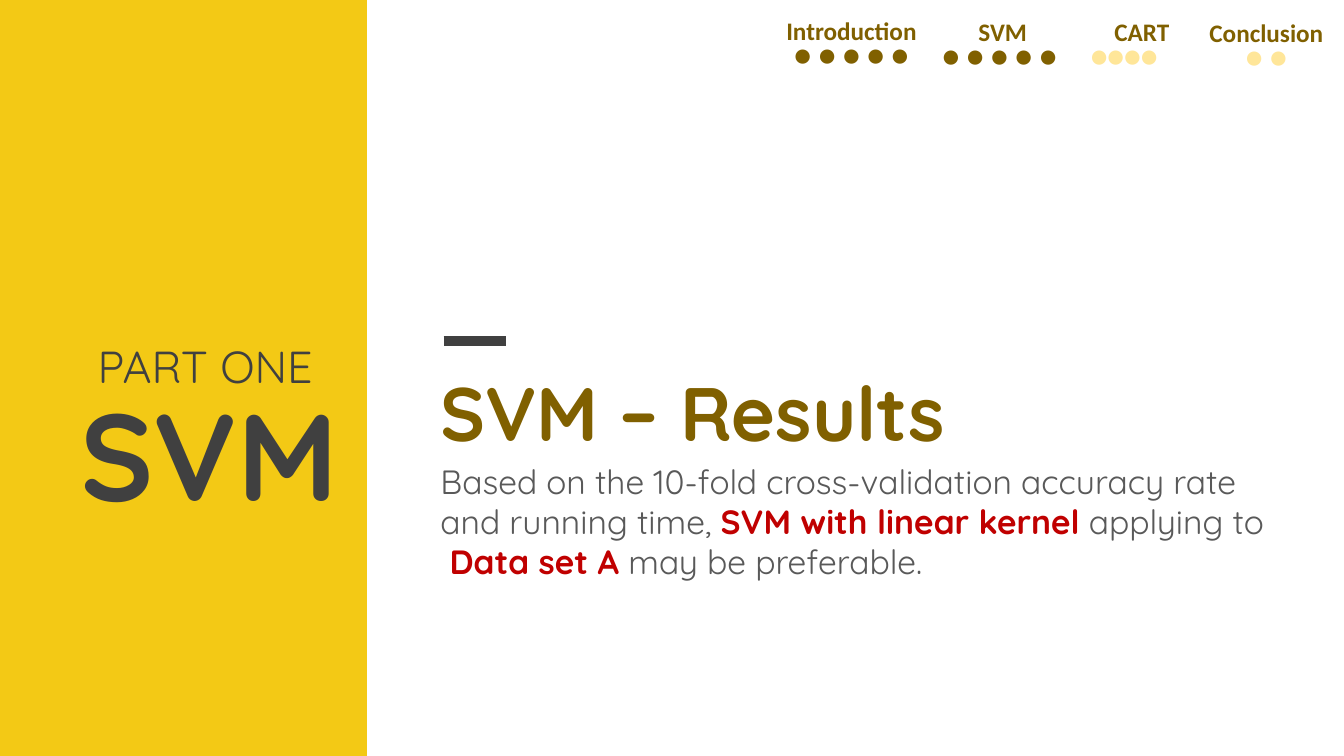
from dataclasses import dataclass

from lxml.etree import SubElement
from pptx import Presentation
from pptx.dml.color import RGBColor
from pptx.enum.shapes import MSO_CONNECTOR, MSO_SHAPE
from pptx.enum.text import MSO_AUTO_SIZE, PP_ALIGN
from pptx.oxml.ns import qn
from pptx.util import Inches, Pt


@dataclass(frozen=True)
class Theme:
    panel: str = "F3C915"
    dark: str = "404040"
    body: str = "595959"
    brown: str = "806000"
    pale: str = "FFE699"
    red: str = "C00000"
    head_font: str = "Quicksand"
    nav_font: str = "Calibri"
    nav_size: int = 18
    body_size: int = 24
    part_size: int = 32
    title_size: int = 54
    section_size: int = 88
    nav_spacing: int = 20


T = Theme()
LEFT, CENTER, RIGHT, JUSTIFY = (
    PP_ALIGN.LEFT, PP_ALIGN.CENTER, PP_ALIGN.RIGHT, PP_ALIGN.JUSTIFY)

# box (left, top, width, height), text, size, colour, bold, alignment
HEADINGS = [
    ((0.87, 3.31, 2.39, 0.64), "PART ONE", T.part_size, T.dark, False, LEFT),
    ((0.1, 3.7, 3.35, 1.58), "SVM", T.section_size, T.dark, True, RIGHT),
    ((4.27, 3.58, 6.29, 1.01), "SVM – Results", T.title_size, T.brown, True, LEFT),
]

# lines of (text, emphasised)
BODY_BOX = (4.27, 4.52, 8.72, 1.31)
BODY = [
    [("Based on the 10-fold cross-validation accuracy rate", False)],
    [("and running time, ", False), ("SVM with linear kernel", True),
     (" applying to", False)],
    [(" ", False), ("Data set A ", True), ("may be preferable.", False)],
]

# box, section, dots, dot colour, dot alignment
NAV = [
    ((7.62, 0.12, 1.65, 0.68), "Introduction", "• • • • •", T.brown, CENTER),
    ((9.25, 0.13, 1.39, 0.68), "SVM", "• • • • •", T.brown, JUSTIFY),
    ((10.72, 0.13, 1.21, 0.68), "CART", "••••", T.pale, JUSTIFY),
    ((11.82, 0.14, 1.48, 0.68), "Conclusion", "• •", T.pale, CENTER),
]


def add_text(s, box, lines, wrap=True, spacing=None):
    """lines: (alignment, runs); a run is (text, font, size, colour, bold)."""
    tf = s.shapes.add_textbox(*map(Inches, box)).text_frame
    tf.word_wrap = wrap
    tf.auto_size = MSO_AUTO_SIZE.SHAPE_TO_FIT_TEXT
    for i, (align, runs) in enumerate(lines):
        p = tf.add_paragraph() if i else tf.paragraphs[0]
        p.alignment = align
        if spacing:
            p.line_spacing = Pt(spacing)
        for text, font, size, color, bold in runs:
            r = p.add_run()
            r.text = text
            r.font.name = font
            r.font.size = Pt(size)
            r.font.bold = bold
            r.font.color.rgb = RGBColor.from_string(color)


def add_panel(s, height):
    sp = s.shapes.add_shape(MSO_SHAPE.RECTANGLE, 0, 0, Inches(3.64), height)
    sp.shadow.inherit = False
    sp.fill.solid()
    sp.fill.fore_color.rgb = RGBColor.from_string(T.panel)
    sp.line.fill.background()


def add_accent(s):
    y = Inches(3.38)
    line = s.shapes.add_connector(
        MSO_CONNECTOR.STRAIGHT, Inches(4.4), y, Inches(5.02), y)
    line.line.width = Pt(7)
    line.line.color.rgb = RGBColor.from_string(T.dark)
    SubElement(line._element.spPr, qn("a:effectLst"))


def main():
    prs = Presentation()
    prs.slide_width, prs.slide_height = Inches(13.33), Inches(7.5)
    s = prs.slides.add_slide(prs.slide_layouts[6])

    add_panel(s, prs.slide_height)
    add_accent(s)
    for box, text, size, color, bold, align in HEADINGS:
        add_text(s, box, [(align, [(text, T.head_font, size, color, bold)])])

    body = [(LEFT, [(text, T.head_font, T.body_size, T.red if strong else T.body, strong)
                    for text, strong in runs]) for runs in BODY]
    add_text(s, BODY_BOX, body, wrap=False)

    for box, section, dots, color, align in NAV:
        add_text(s, box, [
            (CENTER, [(section, T.nav_font, T.nav_size, T.brown, True)]),
            (align, [(dots, T.nav_font, T.body_size, color, True)]),
        ], spacing=T.nav_spacing)

    prs.save("out.pptx")


if __name__ == "__main__":
    main()
